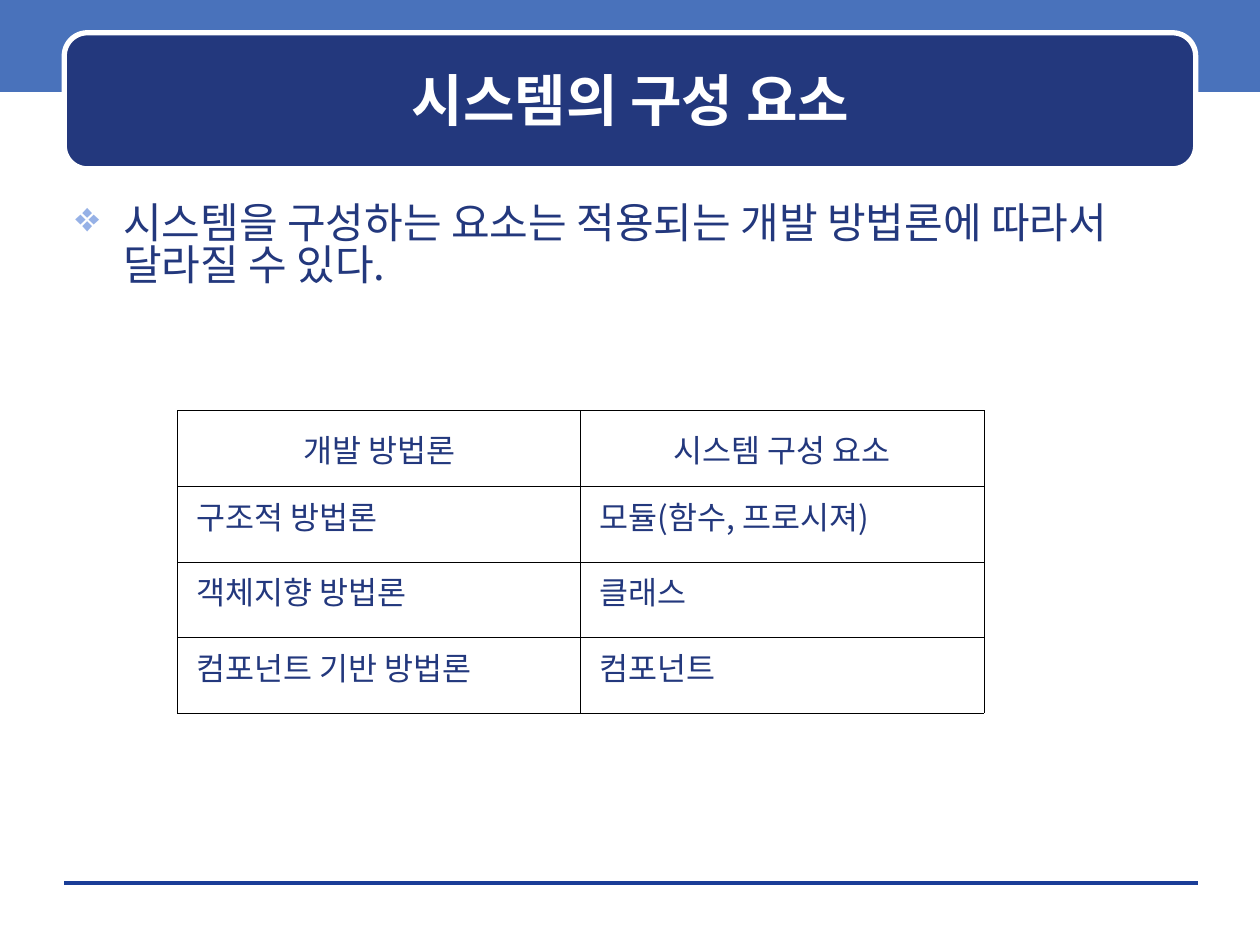
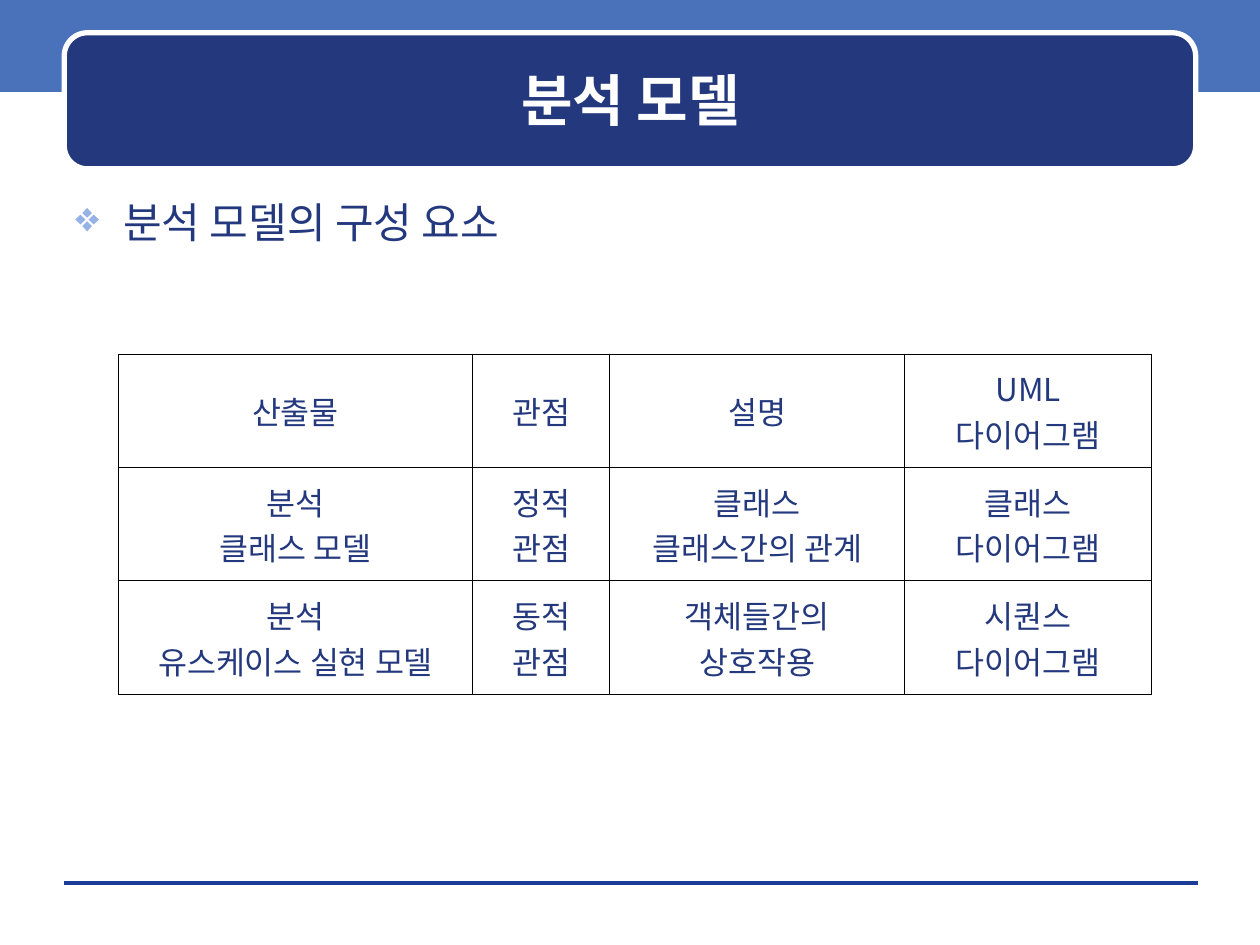
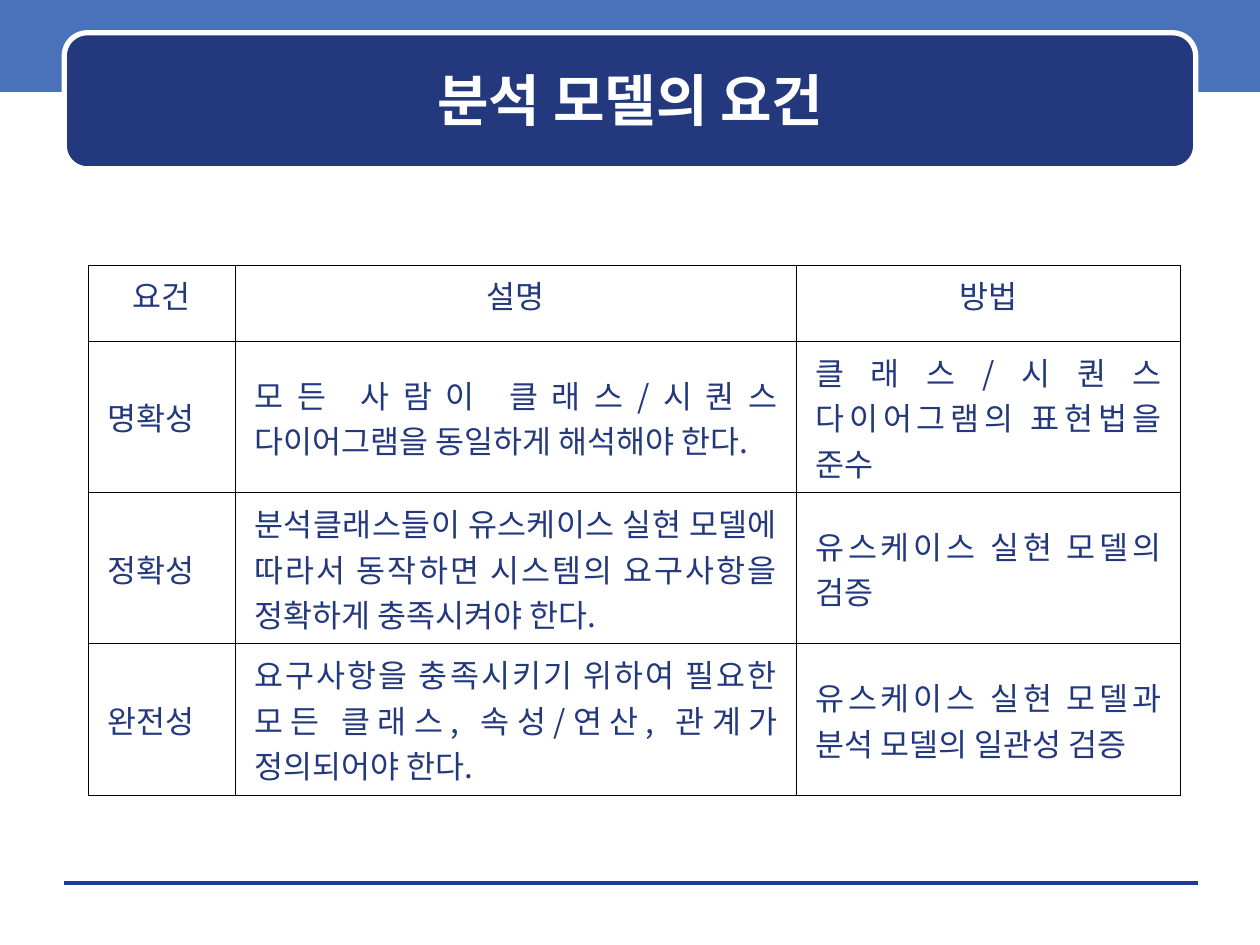
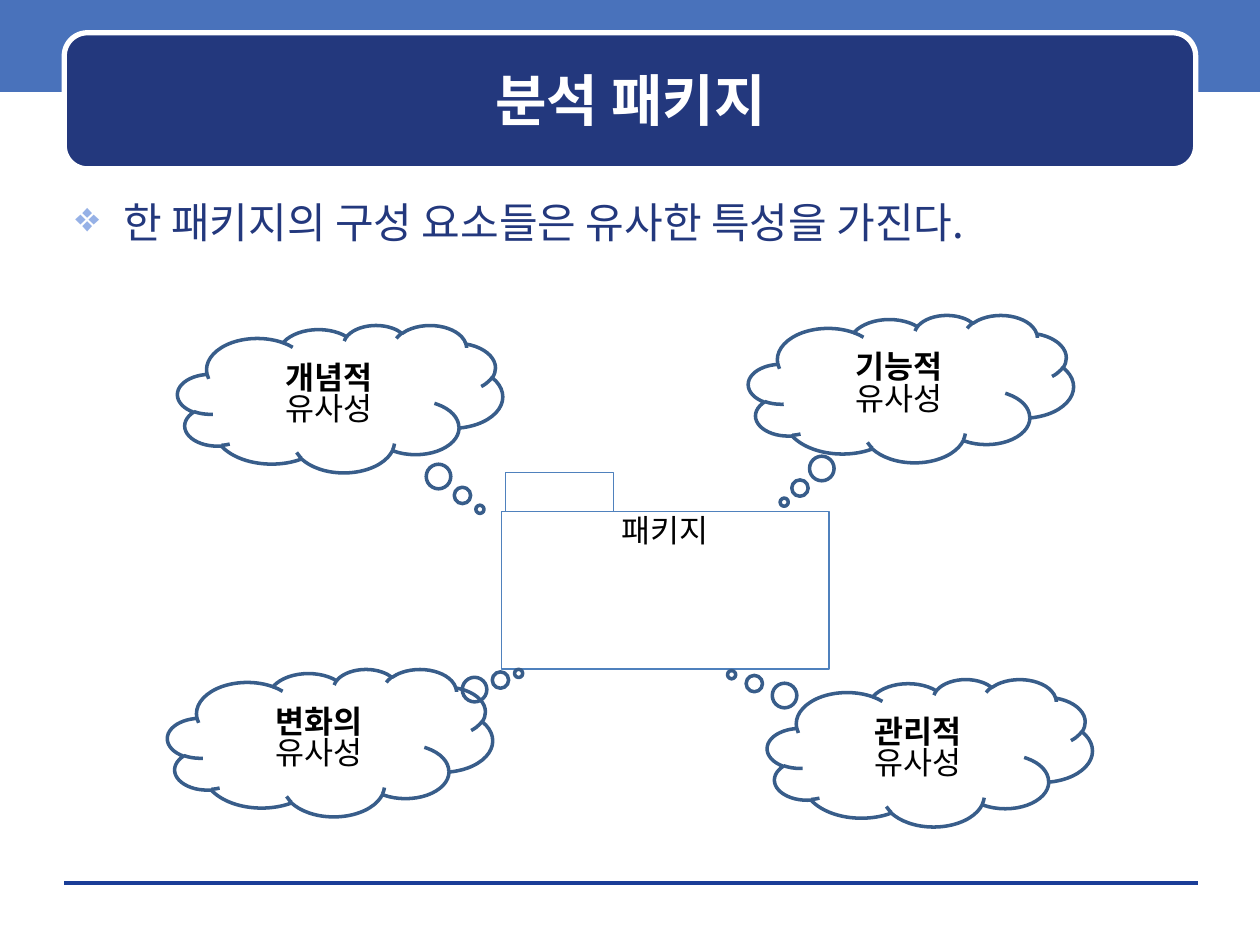
"""Four slides on the analysis model, drawn on a grid of 100 by 75 cells."""
from dataclasses import dataclass

from lxml import etree
from pptx import Presentation
from pptx import util as u
from pptx.dml.color import RGBColor
from pptx.enum import shapes, text
from pptx.oxml.ns import qn


@dataclass(frozen=True)
class Theme:
    """Colours, font, type sizes and line widths of the deck."""
    band: str = "4972BB"
    navy: str = "23387D"
    rule: str = "1A3D97"
    mark: str = "96B1E6"
    edge: str = "4F81BD"
    cloud: str = "385D8A"
    white: str = "FFFFFF"
    black: str = "000000"
    font: str = "Noto Sans CJK KR"
    head: int = 32
    body: int = 24
    small: int = 18
    tight: float = 0.83
    cell: float = 0.45


@dataclass(frozen=True)
class Box:
    """A place on the grid, in columns and rows."""
    x: float
    y: float
    w: float
    h: float

    def emu(self) -> tuple:
        """Give left, top, width and height as lengths."""
        return tuple(grid(n) for n in (self.x, self.y, self.w, self.h))


@dataclass(frozen=True)
class Grid:
    """A table: its corner, column widths, row heights and words."""
    x: float
    y: float
    cols: tuple
    rows: tuple
    words: tuple
    heads: str = "m"
    cells: str = "m"
    align: str = "j"


@dataclass(frozen=True)
class Cloud:
    """A thought cloud: its corner, the tip of its tail and its first word."""
    x: float
    y: float
    tip: tuple
    word: str


@dataclass(frozen=True)
class Page:
    """One slide: title, lead line and what stands below."""
    title: str
    lead: str = ""
    table: Grid | None = None
    clouds: tuple = ()


T = Theme()
WIDE, HIGH = u.Inches(10), u.Inches(7.5)
ALIGN = {"l": text.PP_ALIGN.LEFT, "c": text.PP_ALIGN.CENTER, "j": text.PP_ALIGN.JUSTIFY}
ANCHOR = {"t": text.MSO_ANCHOR.TOP, "m": text.MSO_ANCHOR.MIDDLE}
KIND = shapes.MSO_SHAPE

PAGES = (
    Page("시스템의 구성 요소", "시스템을 구성하는 요소는 적용되는 개발 방법론에 따라서 달라질 수 있다.",
         Grid(14.1, 32.6, (32, 32), (6,) * 4, (
             ("개발 방법론", "시스템 구성 요소"),
             ("구조적 방법론", "모듈(함수, 프로시져)"),
             ("객체지향 방법론", "클래스"),
             ("컴포넌트 기반 방법론", "컴포넌트")), cells="t")),
    Page("분석 모델", "분석 모델의 구성 요소",
         Grid(9.4, 28.1, (28.1, 10.9, 23.4, 19.6), (9,) * 3, (
             ("산출물", "관점", "설명", "UML\n다이어그램"),
             ("분석\n클래스 모델", "정적\n관점", "클래스\n클래스간의 관계", "클래스\n다이어그램"),
             ("분석\n유스케이스 실현 모델", "동적\n관점", "객체들간의\n상호작용", "시퀀스\n다이어그램")),
             align="c")),
    Page("분석 모델의 요건", table=Grid(7, 21.1, (11.7, 44.5, 30.5), (6, 12, 12, 12), (
        ("요건", "설명", "방법"),
        ("명확성", "모든 사람이 클래스/시퀀스 다이어그램을 동일하게 해석해야 한다.",
         "클래스/시퀀스 다이어그램의 표현법을 준수"),
        ("정확성", "분석클래스들이 유스케이스 실현 모델에 따라서 동작하면 시스템의 요구사항을 정확하게 충족시켜야 한다.",
         "유스케이스 실현 모델의 검증"),
        ("완전성", "요구사항을 충족시키기 위하여 필요한 모든 클래스, 속성/연산, 관계가 정의되어야 한다.",
         "유스케이스 실현 모델과 분석 모델의 일관성 검증")), heads="t")),
    Page("분석 패키지", "한 패키지의 구성 요소들은 유사한 특성을 가진다.", clouds=(
        Cloud(14.1, 25.8, (0.43, 0.75), "개념적"),
        Cloud(13.3, 53.1, (0.58, -0.47), "변화의"),
        Cloud(59.4, 25, (-0.39, 0.77), "기능적"),
        Cloud(60.9, 53.9, (-0.61, -0.53), "관리적"))),
)


def grid(n: float) -> int:
    """Turn grid cells into a length."""
    return u.Emu(round(WIDE * n / 100))


def rgb(tone: str) -> RGBColor:
    """Turn a hex string into a colour."""
    return RGBColor.from_string(tone)


def node(up, tag: str, **keys):
    """Add a drawing element below another."""
    return etree.SubElement(up, qn(f"a:{tag}"), **keys)


def write(frame, words: str, *, size: int = T.small, tone: str = T.navy, bold: int = 0,
          align: str = "c", space: float = 1.0, mark: str = "") -> None:
    """Write one paragraph a line, the first `bold` of them in bold."""
    frame.word_wrap = True
    for i, line in enumerate(words.split("\n")):
        para = frame.add_paragraph() if i else frame.paragraphs[0]
        para.alignment, para.line_spacing = ALIGN[align], space
        run = para.add_run()
        run.text = line
        font = run.font
        font.size, font.bold, font.name = u.Pt(size), i < bold, T.font
        font.color.rgb = rgb(tone)
        node(run._r.get_or_add_rPr(), "ea", typeface=T.font)
        if mark:
            para.space_before = u.Pt(6)
            props = para._p.get_or_add_pPr()
            props.set("marL", str(grid(3.8)))
            props.set("indent", str(-grid(3.8)))
            node(node(props, "buClr"), "srgbClr", val=T.mark)
            node(props, "buChar", char=mark)


def draw(host, kind, box: Box, *, fill: str = "", line: str = "", width: float = 1,
         adj: tuple = ()):
    """Draw a preset shape with plain fill and line."""
    item = host.shapes.add_shape(kind, *box.emu())
    item.shadow.inherit = False
    for i, share in enumerate(adj):
        item.adjustments[i] = share
    if fill:
        item.fill.solid()
        item.fill.fore_color.rgb = rgb(fill)
    else:
        item.fill.background()
    if line:
        item.line.color.rgb = rgb(line)
        item.line.width = u.Pt(width)
    else:
        item.line.fill.background()
    return item


def label(slide, box: Box, words: str, *, anchor: str = "t", **form) -> None:
    """Place a text box."""
    frame = slide.shapes.add_textbox(*box.emu()).text_frame
    frame.vertical_anchor = ANCHOR[anchor]
    write(frame, words, **form)


def base(slide, title: str) -> None:
    """Draw the band, the foot rule and the title plate."""
    draw(slide, KIND.RECTANGLE, Box(0, -0.3, 100, 7.6), fill=T.band)
    rule = slide.shapes.add_connector(shapes.MSO_CONNECTOR.STRAIGHT, grid(5.1), grid(70.1),
                                      grid(95.1), grid(70.1))
    rule.line.color.rgb = rgb(T.rule)
    rule.line.width = 0
    node(rule._element.spPr, "effectLst")
    draw(slide, KIND.ROUNDED_RECTANGLE, Box(5.1, 2.6, 89.8, 10.8), fill=T.navy,
         line=T.white, width=3, adj=(0.17,))
    label(slide, Box(6, 3.5, 88.1, 8.8), title, anchor="m", size=T.head, tone=T.white, bold=1)


def frame(cell) -> None:
    """Rule the four sides of a cell and leave it unfilled."""
    props = cell._tc.get_or_add_tcPr()
    for side in ("lnL", "lnR", "lnT", "lnB"):
        edge = node(props, side, w=str(u.Pt(T.cell)))
        node(node(edge, "solidFill"), "srgbClr", val=T.black)
    cell.fill.background()


def chart(slide, plan: Grid) -> None:
    """Draw a ruled table."""
    box = Box(plan.x, plan.y, sum(plan.cols), sum(plan.rows))
    table = slide.shapes.add_table(len(plan.rows), len(plan.cols), *box.emu()).table
    table.first_row = table.horz_banding = False
    for col, wide in zip(table.columns, plan.cols):
        col.width = grid(wide)
    for r, (row, high) in enumerate(zip(table.rows, plan.rows)):
        row.height = grid(high)
        for cell, words in zip(row.cells, plan.words[r]):
            cell.margin_left = cell.margin_right = grid(1.5)
            cell.margin_top = cell.margin_bottom = grid(0.5)
            cell.vertical_anchor = ANCHOR[plan.cells if r else plan.heads]
            frame(cell)
            write(cell.text_frame, words, align=plan.align if r else "c")


def pack(slide) -> None:
    """Draw the package folder as a group."""
    group = slide.shapes.add_group_shape()
    boxes = (Box(39.8, 40.6, 26, 12.5), Box(40.1, 37.5, 8.6, 3.1))
    body, _ = [draw(group, KIND.RECTANGLE, box, line=T.edge, width=0.75) for box in boxes]
    body.text_frame.vertical_anchor = ANCHOR["t"]
    write(body.text_frame, "패키지", tone=T.black, space=T.tight)


def puff(slide, cloud: Cloud) -> None:
    """Draw a thought cloud with its two lines."""
    item = draw(slide, KIND.CLOUD_CALLOUT, Box(cloud.x, cloud.y, 25.8, 11.7),
                line=T.cloud, width=2, adj=cloud.tip)
    item.text_frame.vertical_anchor = ANCHOR["m"]
    write(item.text_frame, f"{cloud.word}\n유사성", tone=T.black, bold=1, space=T.tight)


def main() -> None:
    """Build and save the deck."""
    deck = Presentation()
    deck.slide_width, deck.slide_height = WIDE, HIGH
    for page in PAGES:
        slide = deck.slides.add_slide(deck.slide_layouts[6])
        base(slide, page.title)
        if page.lead:
            label(slide, Box(5, 15.8, 90, 53.3), page.lead, size=T.body, align="l",
                  space=T.tight, mark="❖")
        if page.table:
            chart(slide, page.table)
        if page.clouds:
            pack(slide)
        for cloud in page.clouds:
            puff(slide, cloud)
    deck.save("out.pptx")


if __name__ == "__main__":
    main()
